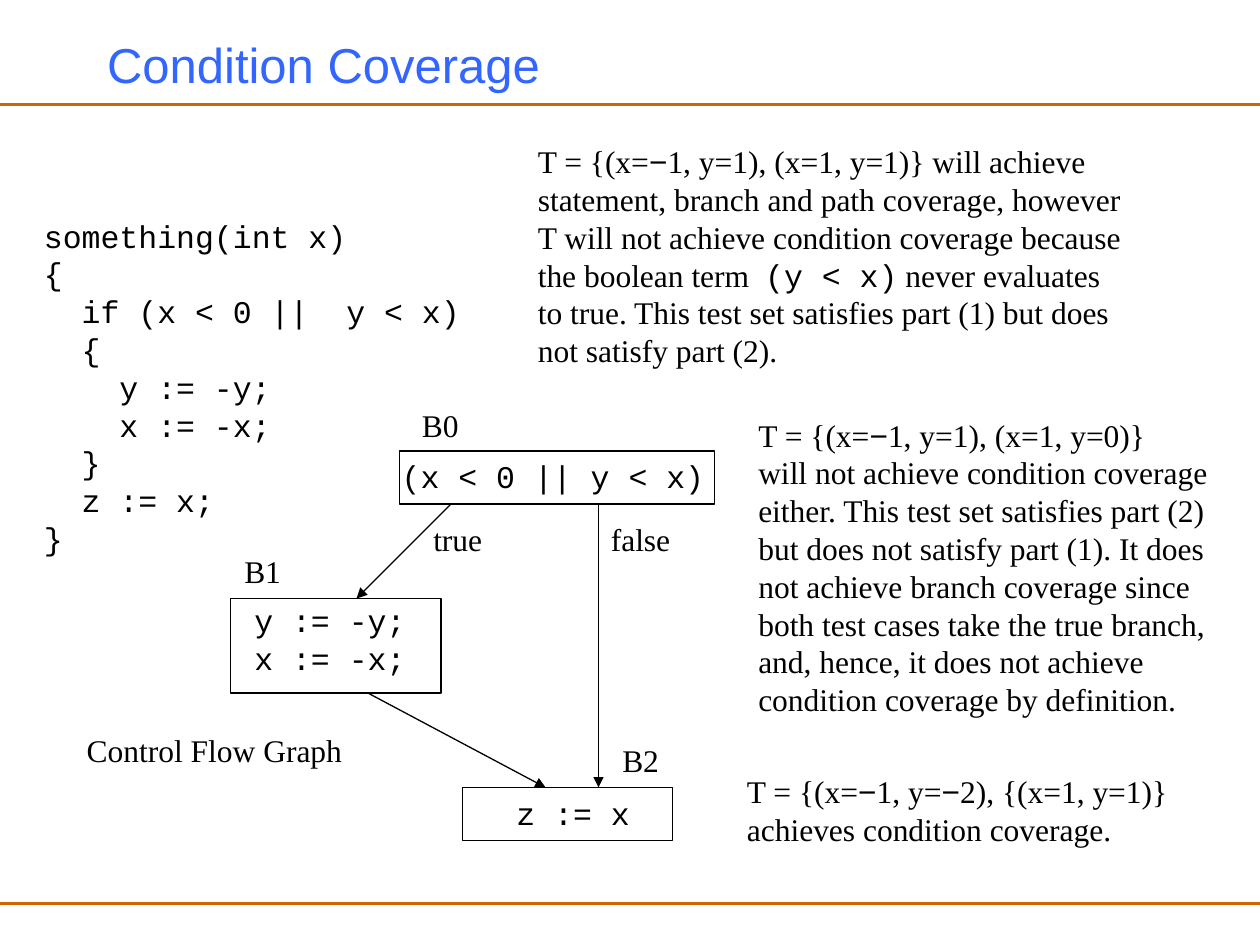
from dataclasses import dataclass

from lxml.etree import SubElement
from pptx import Presentation
from pptx.dml.color import RGBColor
from pptx.enum.shapes import MSO_CONNECTOR as Connector, MSO_SHAPE as Shape
from pptx.enum.text import MSO_ANCHOR as Anchor, PP_ALIGN as Align
from pptx.oxml.ns import qn
from pptx.util import Inches, Pt


@dataclass(frozen=True)
class Theme:
    title_color: RGBColor = RGBColor(0x33, 0x66, 0xFF)
    rule_color: RGBColor = RGBColor(0xCC, 0x66, 0x00)
    ink: RGBColor = RGBColor(0, 0, 0)
    title_size: Pt = Pt(28)
    body_size: Pt = Pt(18)
    rule_width: Pt = Pt(2)
    line_width: Pt = Pt(0.75)
    sans: str = "Arial"
    serif: str = "Times New Roman"
    mono: str = "Courier New"


THEME = Theme()

# Content: each box is (left, top, width, height), in inches
TITLE = "Condition Coverage"
RULES = [0.83, 7.17]

CODE_BOX = (0.25, 1.67, 5, 2.8)
CODE = [
    "something(int x)",
    "{",
    "  if (x < 0 ||  y < x)",
    "  {",
    "    y := -y;",
    "    x := -x;",
    "  }",
    "  z := x;",
    "}",
]

# A paragraph is a string, or a list of strings and (text, font) pairs
MINUS = ("−", THEME.sans)
NOTES = [
    ((4.17, 1.08, 4.83, 1.9), [
        ["T = {(x=", MINUS, "1, y=1), (x=1, y=1)} will achieve"],
        ["statement, branch and path coverage, however T will not achieve "
         "condition coverage because the boolean term  ",
         ("(y < x)", THEME.mono),
         " never evaluates to true. This test set satisfies part (1) "
         "but does not satisfy part (2)."],
    ]),
    ((5.92, 3.25, 3.83, 2.5), [
        ["T = {(x=", MINUS, "1, y=1), (x=1, y=0)}"],
        "will not achieve condition coverage either. This test set satisfies "
        "part (2) but does not satisfy part (1). It does not achieve branch "
        "coverage since both test cases take the true branch, and, hence, "
        "it does not achieve condition coverage by definition.",
    ]),
    ((5.83, 6.08, 3.83, 0.7), [
        ["T = {(x=", MINUS, "1, y=", MINUS, "2), {(x=1, y=1)}"],
        "achieves condition coverage.",
    ]),
]

# Flow graph: block outline, box for its statements, statements
BLOCKS = [
    ((3.17, 3.58, 2.5, 0.42), (3.09, 3.58, 2.6, 0.4), ["(x < 0 || y < x)"]),
    ((1.83, 4.75, 1.67, 0.75), (1.92, 4.72, 1.4, 0.7), ["y := -y;", "x := -x;"]),
    ((3.67, 6.25, 1.67, 0.42), (4, 6.25, 1.1, 0.4), ["z := x"]),
]
ARROWS = [
    ((3.58, 4), (2.83, 4.75)),
    ((2.92, 5.5), (4.33, 6.25)),
    ((4.75, 4), (4.75, 6.25)),
]
LABEL_HEIGHT = 0.4
LABELS = [  # text, left, top, width
    ("B0", 3.25, 3.17, 0.49),
    ("B1", 1.84, 4.33, 0.49),
    ("B2", 4.84, 5.83, 0.49),
    ("true", 3.34, 4.08, 0.59),
    ("false", 4.75, 4.08, 0.67),
    ("Control Flow Graph", 0.59, 5.75, 2.23),
]


def inches(values):
    return [Inches(value) for value in values]


def style(font, name, size=THEME.body_size, color=THEME.ink):
    font.name, font.size = name, size
    font.color.rgb = color


def add_text(page, place, paragraphs, font_name, wrap=True):
    frame = page.shapes.add_textbox(*inches(place)).text_frame
    frame.word_wrap = wrap
    for index, content in enumerate(paragraphs):
        para = frame.add_paragraph() if index else frame.paragraphs[0]
        style(para.font, font_name)
        if isinstance(content, str):
            para.text = content
            continue
        for piece in content:
            text, name = (piece, font_name) if isinstance(piece, str) else piece
            span = para.add_run()
            span.text = text
            style(span.font, name)


def add_line(page, start, end, color, width, arrow=False):
    line = page.shapes.add_connector(Connector.STRAIGHT, *inches(start + end))
    line.line.color.rgb = color
    line.line.width = width
    if arrow:
        SubElement(line.line._get_or_add_ln(), qn("a:tailEnd"), type="triangle")
    SubElement(line._element.spPr, qn("a:effectLst"))


def add_title(page):
    title = page.shapes.title
    title.left, title.top, title.width, title.height = inches((0.75, 0.17, 8.5, 0.67))
    title.text_frame.text = TITLE
    title.text_frame.vertical_anchor = Anchor.MIDDLE
    para = title.text_frame.paragraphs[0]
    para.alignment = Align.LEFT
    style(para.font, THEME.sans, THEME.title_size, THEME.title_color)


def add_block(page, place, text_place, statements):
    box = page.shapes.add_shape(Shape.RECTANGLE, *inches(place))
    box.shadow.inherit = False
    box.fill.background()
    box.line.color.rgb = THEME.ink
    box.line.width = THEME.line_width
    add_text(page, text_place, statements, THEME.mono, wrap=False)


def main():
    deck = Presentation()
    deck.slide_width, deck.slide_height = Inches(10), Inches(7.5)
    page = deck.slides.add_slide(deck.slide_layouts[5])

    # Title and the rules across the page
    for top in RULES:
        add_line(page, (0, top), (10, top), THEME.rule_color, THEME.rule_width)
    add_title(page)

    # Program and remarks on its test sets
    add_text(page, CODE_BOX, CODE, THEME.mono)
    for place, paragraphs in NOTES:
        add_text(page, place, paragraphs, THEME.serif)

    # Control flow graph
    for block in BLOCKS:
        add_block(page, *block)
    for start, end in ARROWS:
        add_line(page, start, end, THEME.ink, THEME.line_width, arrow=True)
    for text, left, top, width in LABELS:
        add_text(page, (left, top, width, LABEL_HEIGHT), [text], THEME.serif, wrap=False)

    deck.save("out.pptx")


if __name__ == "__main__":
    main()
